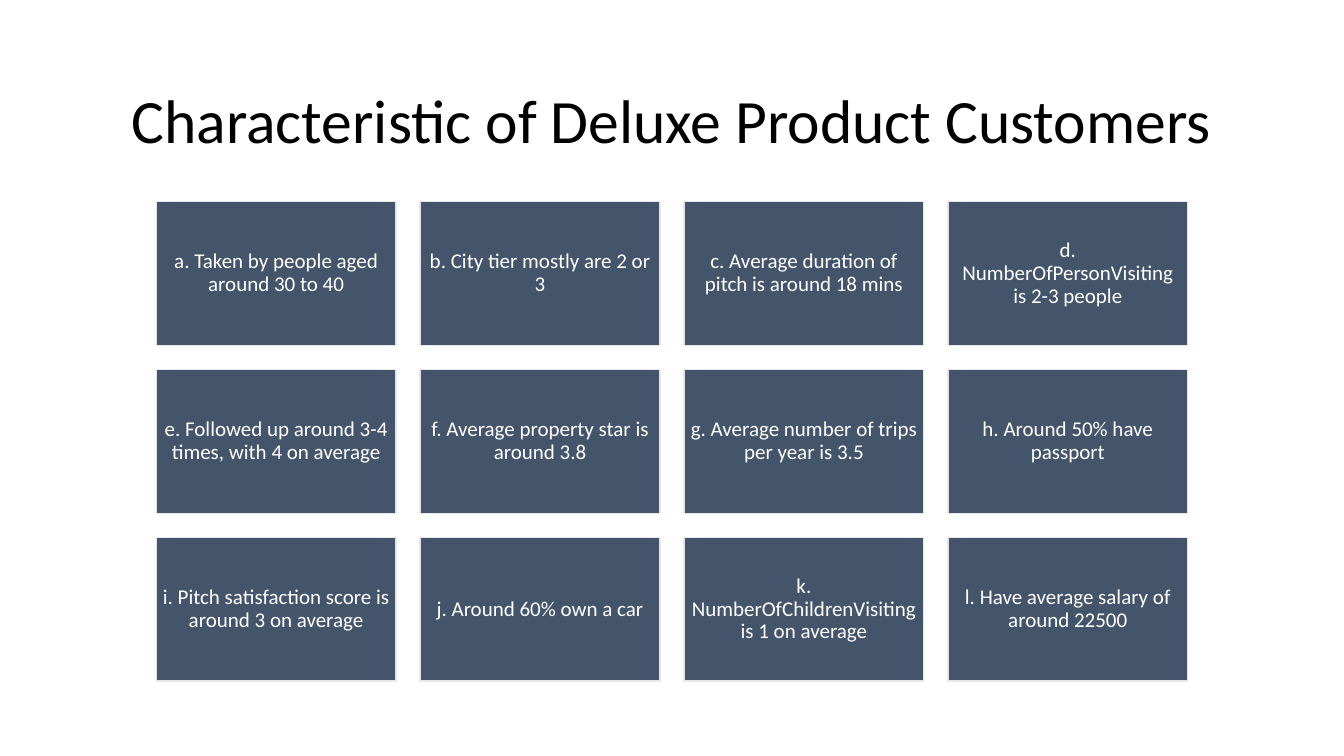
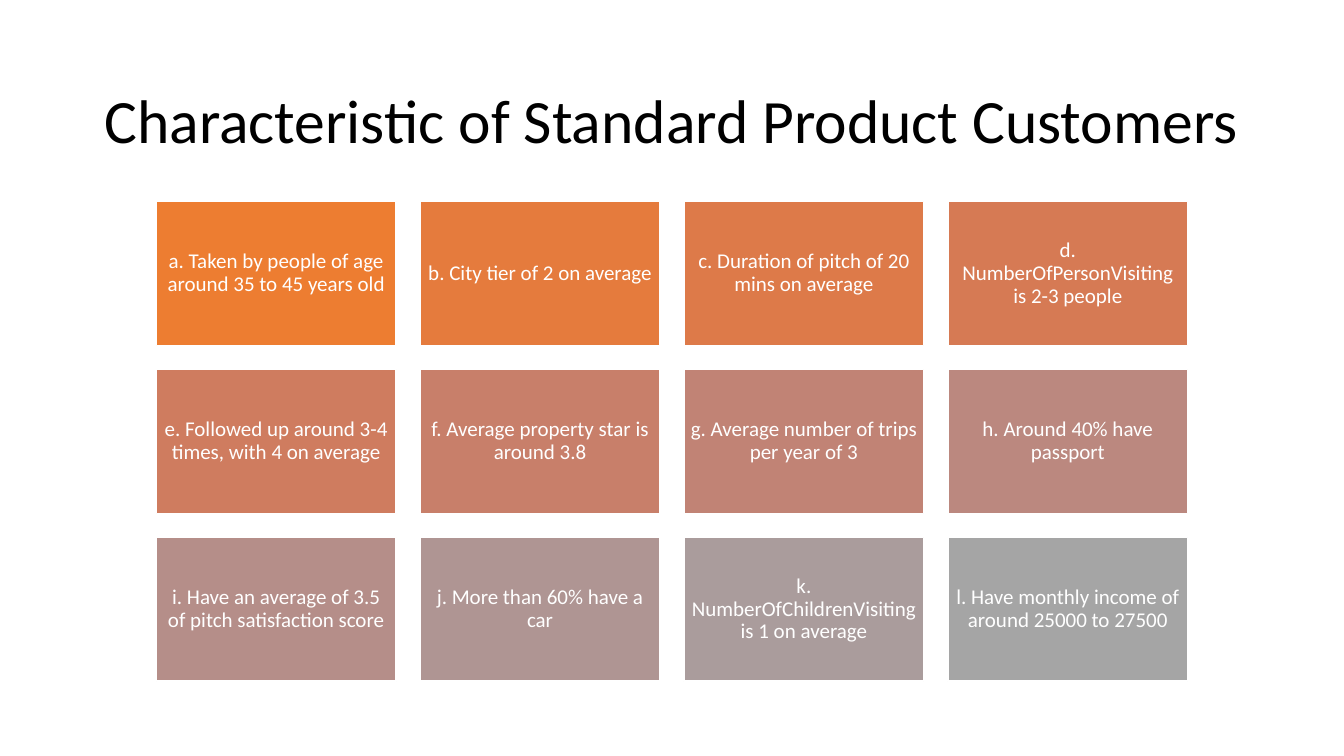
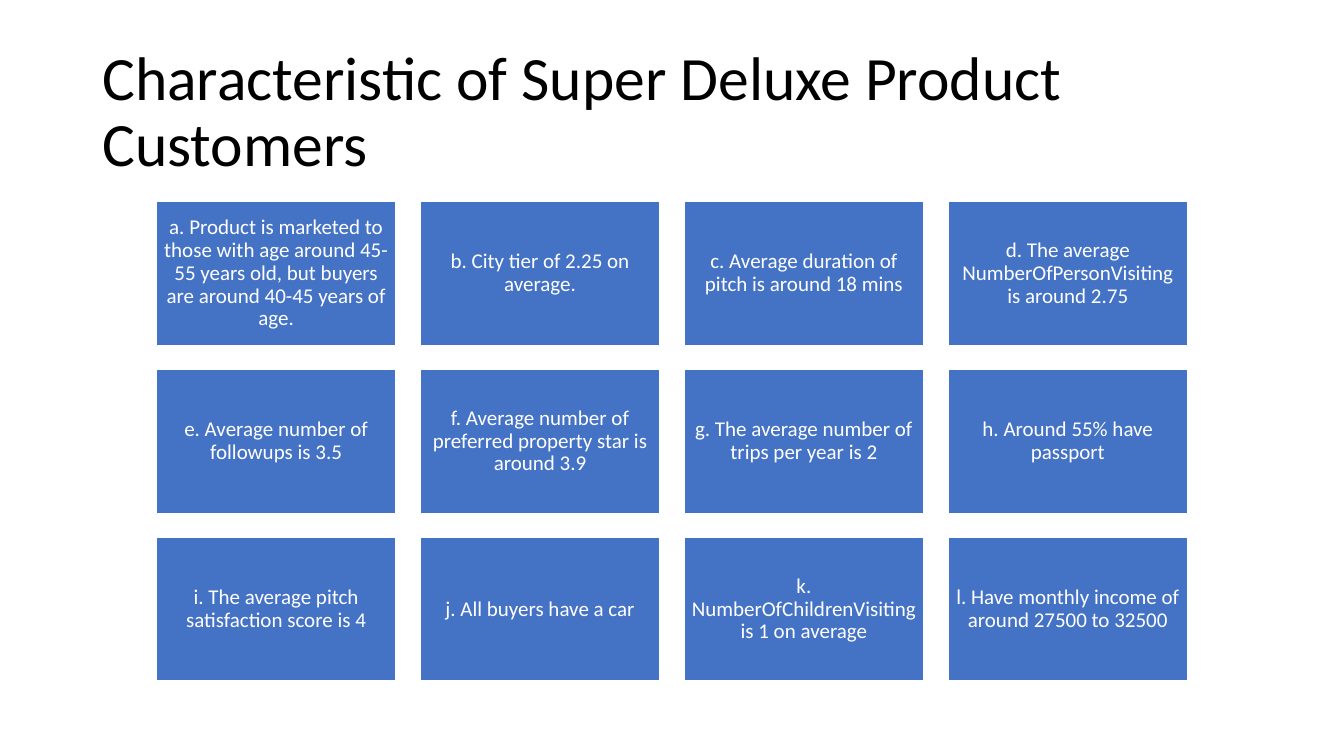
from colorsys import hls_to_rgb, rgb_to_hls
from dataclasses import dataclass

from pptx import Presentation
from pptx.dml.color import RGBColor
from pptx.enum.shapes import MSO_SHAPE
from pptx.enum.text import MSO_ANCHOR, PP_ALIGN
from pptx.util import Emu, Pt

CENTER = PP_ALIGN.CENTER
LEFT = PP_ALIGN.LEFT
MIDDLE = MSO_ANCHOR.MIDDLE
RECTANGLE = MSO_SHAPE.RECTANGLE

SLIDE_COLUMNS = 160
SLIDE_ROWS = 90
CELL = 76200


@dataclass(frozen=True)
class Theme:
    font: str = "Calibri"
    title_size: int = 44
    card_size: int = 15
    line_spacing: float = 0.9
    border_width: int = 1
    black: str = "000000"
    white: str = "FFFFFF"
    pale_gray: str = "E7E6E6"
    slate: str = "44546A"
    orange: str = "ED7D31"
    gray: str = "A5A5A5"
    blue: str = "4472C4"


THEME = Theme()


def cells(count):
    return Emu(round(count * CELL))


def set_values(target, values):
    for name, value in values.items():
        setattr(target, name, value)


def blend(start, end, count):
    first, last = (
        rgb_to_hls(*(channel / 255 for channel in RGBColor.from_string(color)))
        for color in (start, end)
    )
    colors = []
    for step in range(count):
        share = step / (count - 1)
        mixed = [a + (b - a) * share for a, b in zip(first, last)]
        colors.append(RGBColor(*(round(c * 255) for c in hls_to_rgb(*mixed))))
    return colors


class Deck:
    title_left, title_width, title_bottom = 11, 138, 22.2
    cards_left, cards_top = 18.6, 24
    cards_width, cards_height = 122.8, 57.1
    card_columns, card_rows = 4, 3
    card_gap, card_inset = 2.86, 0.75

    def __init__(self, theme):
        self.theme = theme
        self.presentation = Presentation()
        set_values(self.presentation, {
            "slide_width": cells(SLIDE_COLUMNS),
            "slide_height": cells(SLIDE_ROWS),
        })
        self.slide = None

    def add_slide(self):
        blank_layout = self.presentation.slide_layouts[6]
        self.slide = self.presentation.slides.add_slide(blank_layout)

    def fill_text(self, shape, text, size, color, alignment):
        set_values(shape.text_frame, {"word_wrap": True, "vertical_anchor": MIDDLE})
        paragraph = shape.text_frame.paragraphs[0]
        set_values(paragraph, {
            "text": text,
            "alignment": alignment,
            "line_spacing": self.theme.line_spacing,
        })
        font = paragraph.runs[0].font
        set_values(font, {"name": self.theme.font, "size": Pt(size)})
        font.color.rgb = RGBColor.from_string(color)

    def title(self, text, top, alignment):
        box = (self.title_left, top, self.title_width, self.title_bottom - top)
        shape = self.slide.shapes.add_textbox(*map(cells, box))
        self.fill_text(shape, text, self.theme.title_size, self.theme.black, alignment)

    def card(self, text, column, row, fill, border):
        width = (self.cards_width + self.card_gap) / self.card_columns - self.card_gap
        height = (self.cards_height + self.card_gap) / self.card_rows - self.card_gap
        left = self.cards_left + column * (width + self.card_gap)
        top = self.cards_top + row * (height + self.card_gap)
        shape = self.slide.shapes.add_shape(
            RECTANGLE, *map(cells, (left, top, width, height))
        )
        shape.shadow.inherit = False
        shape.fill.solid()
        shape.fill.fore_color.rgb = fill
        shape.line.color.rgb = RGBColor.from_string(border)
        shape.line.width = Pt(self.theme.border_width)
        inset = cells(self.card_inset)
        sides = ("left", "top", "right", "bottom")
        set_values(shape.text_frame, {f"margin_{side}": inset for side in sides})
        self.fill_text(shape, text, self.theme.card_size, self.theme.white, CENTER)

    def card_grid(self, texts, start, end, border):
        fills = blend(start, end, len(texts))
        for index, (text, fill) in enumerate(zip(texts, fills)):
            row, column = divmod(index, self.card_columns)
            self.card(text, column, row, fill, border)


SLIDES = [
    {
        "title": ("Characteristic of Deluxe Product Customers", 7.3, CENTER),
        "colors": (THEME.slate, THEME.slate, THEME.pale_gray),
        "cards": [
            "a. Taken by people aged around 30 to 40",
            "b. City tier mostly are 2 or 3",
            "c. Average duration of pitch is around 18 mins",
            "d. NumberOfPersonVisiting is 2-3 people",
            "e. Followed up around 3-4 times, with 4 on average",
            "f. Average property star is around 3.8",
            "g. Average number of trips per year is 3.5",
            "h. Around 50% have passport",
            "i. Pitch satisfaction score is around 3 on average",
            "j. Around 60% own a car",
            "k. NumberOfChildrenVisiting is 1 on average",
            "l. Have average salary of around 22500",
        ],
    },
    {
        "title": ("Characteristic of Standard Product Customers", 7.3, CENTER),
        "colors": (THEME.orange, THEME.gray, THEME.white),
        "cards": [
            "a. Taken by people of age around 35 to 45 years old",
            "b. City tier of 2 on average",
            "c. Duration of pitch of 20 mins on average",
            "d. NumberOfPersonVisiting is 2-3 people",
            "e. Followed up around 3-4 times, with 4 on average",
            "f. Average property star is around 3.8",
            "g. Average number of trips per year of 3",
            "h. Around 40% have passport",
            "i. Have an average of 3.5 of pitch satisfaction score",
            "j. More than 60% have a car",
            "k. NumberOfChildrenVisiting is 1 on average",
            "l. Have monthly income of around 25000 to 27500",
        ],
    },
    {
        "title": ("Characteristic of Super Deluxe Product Customers", 4.8, LEFT),
        "colors": (THEME.blue, THEME.blue, THEME.white),
        "cards": [
            "a. Product is marketed to those with age around 45-55 years old, "
            "but buyers are around 40-45 years of age.",
            "b. City tier of 2.25 on average.",
            "c. Average duration of pitch is around 18 mins",
            "d. The average NumberOfPersonVisiting is around 2.75",
            "e. Average number of followups is 3.5",
            "f. Average number of preferred property star is around 3.9",
            "g. The average number of trips per year is 2",
            "h. Around 55% have passport",
            "i. The average pitch satisfaction score is 4",
            "j. All buyers have a car",
            "k. NumberOfChildrenVisiting is 1 on average",
            "l. Have monthly income of around 27500 to 32500",
        ],
    },
]


def main():
    deck = Deck(THEME)
    for content in SLIDES:
        deck.add_slide()
        deck.title(*content["title"])
        deck.card_grid(content["cards"], *content["colors"])
    deck.presentation.save("out.pptx")


if __name__ == "__main__":
    main()
